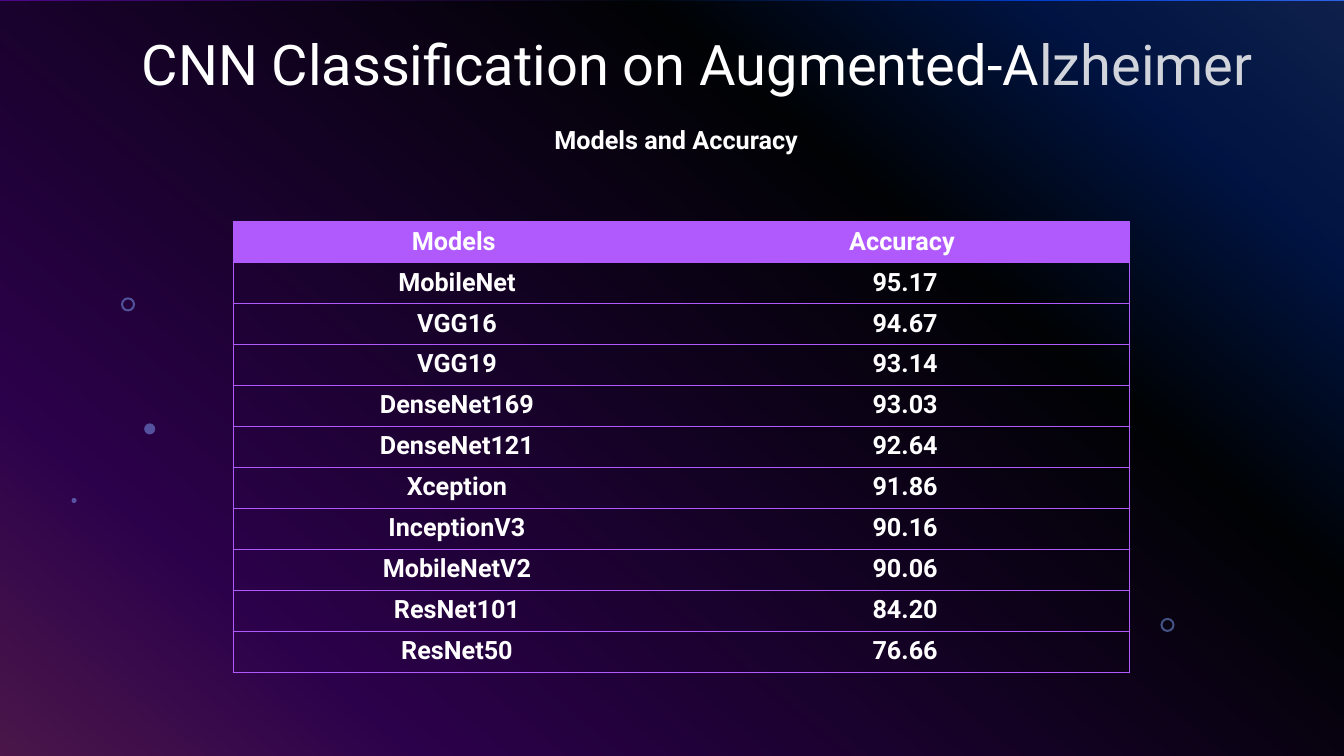
"""Build the slide that ranks CNN models by accuracy on Augmented-Alzheimer."""
from lxml.etree import SubElement
from pptx import Presentation
from pptx.dml.color import RGBColor
from pptx.enum.shapes import MSO_SHAPE
from pptx.enum.text import MSO_ANCHOR, MSO_AUTO_SIZE, PP_ALIGN
from pptx.oxml import parse_xml
from pptx.oxml.ns import nsdecls, qn
from pptx.util import Inches, Pt

COLORS = {
    "text": "FFFFFF",
    "muted": "D1D5DB",
    "accent": "B059FD",
    "veil": "000000",
    "bubble": "83A7FD",
}
GRADIENT = {0: "316CFC", 14: "0343DF", 31: "02090E", 81: "9405FC", 100: "FC4EFB"}
GRADIENT_ANGLE = 130
GRID = Inches(0.1)
SLIDE_COLUMNS, SLIDE_ROWS = 133.3, 75
HEADING_FORMAT = {"name": "Roboto", "size": Pt(40), "bold": False}
STRONG_FORMAT = {"name": "Roboto", "size": Pt(18), "bold": True}
RESULTS = [
    ("Models ", "Accuracy "),
    ("MobileNet", "95.17"),
    ("VGG16", "94.67"),
    ("VGG19", "93.14"),
    ("DenseNet169", "93.03"),
    ("DenseNet121", "92.64"),
    ("Xception", "91.86"),
    ("InceptionV3", "90.16"),
    ("MobileNetV2", "90.06"),
    ("ResNet101", "84.20"),
    ("ResNet50", "76.66"),
]
BUBBLES = [
    (MSO_SHAPE.DONUT, 115.1, 61.3, 1.4),
    (MSO_SHAPE.DONUT, 12, 29.5, 1.4),
    (MSO_SHAPE.OVAL, 14.3, 42, 1.1),
    (MSO_SHAPE.OVAL, 7.1, 49.4, 0.5),
]


def add_tinted(kind, column, row, columns, rows, color, opacity):
    tinted = slide.shapes.add_shape(
        kind, *(int(cells * GRID) for cells in (column, row, columns, rows)))
    tinted.shadow.inherit = False
    tinted.line.fill.background()
    tinted.fill.solid()
    tinted.fill.fore_color.rgb = RGBColor.from_string(COLORS[color])
    tint = tinted.fill._xPr.find(".//" + qn("a:srgbClr"))
    SubElement(tint, qn("a:alpha"), val=str(opacity * 1000))
    return tinted


def add_words(paragraph, words, color, formats):
    run = paragraph.add_run()
    run.text = words
    for attribute, value in formats.items():
        setattr(run.font, attribute, value)
    run.font.color.rgb = RGBColor.from_string(COLORS[color])


deck = Presentation()
deck.slide_width = int(SLIDE_COLUMNS * GRID)
deck.slide_height = SLIDE_ROWS * GRID
slide = deck.slides.add_slide(deck.slide_layouts[6])

stops = "".join(
    f'<a:gs pos="{share * 1000}"><a:srgbClr val="{color}"/></a:gs>'
    for share, color in GRADIENT.items())
slide.element.cSld.insert(0, parse_xml(
    f'<p:bg {nsdecls("p", "a")}><p:bgPr><a:gradFill><a:gsLst>{stops}</a:gsLst>'
    f'<a:lin ang="{GRADIENT_ANGLE * 60000}" scaled="0"/></a:gradFill>'
    '<a:effectLst/></p:bgPr></p:bg>'))

add_tinted(MSO_SHAPE.RECTANGLE, 0, 0.1, SLIDE_COLUMNS, SLIDE_ROWS - 0.1, "veil", 70)
for kind, column, row, diameter in BUBBLES:
    bubble = add_tinted(kind, column, row, diameter, diameter, "bubble", 49)
    if kind == MSO_SHAPE.DONUT:
        bubble.adjustments[0] = 0.15

heading = slide.shapes.add_textbox(
    0, int(3.2 * GRID), deck.slide_width, int(8.5 * GRID)).text_frame
heading.word_wrap = True
heading.vertical_anchor = MSO_ANCHOR.TOP
title = heading.paragraphs[0]
title.alignment = PP_ALIGN.CENTER
title.line_spacing = 0.9
title._p.get_or_add_pPr().set("marL", str(5 * GRID))
add_words(title, "CNN Classification on Augmented-A", "text", HEADING_FORMAT)
add_words(title, "lzheimer", "muted", HEADING_FORMAT)

caption = slide.shapes.add_textbox(
    54 * GRID, int(11.8 * GRID), int(27.6 * GRID), 4 * GRID).text_frame
caption.word_wrap = False
caption.auto_size = MSO_AUTO_SIZE.SHAPE_TO_FIT_TEXT
add_words(caption.paragraphs[0], "Models and Accuracy", "text", STRONG_FORMAT)

ranking = slide.shapes.add_table(
    len(RESULTS), 2, int(23.1 * GRID), 22 * GRID,
    int(88.9 * GRID), int(44.7 * GRID)).table
ranking.horz_banding = False
for row, entries in enumerate(RESULTS):
    for column, entry in enumerate(entries):
        cell = ranking.cell(row, column)
        borders = {"lnL": column == 0, "lnR": column == 1, "lnT": True, "lnB": True}
        for side, visible in borders.items():
            border = SubElement(cell._tc.get_or_add_tcPr(), qn(f"a:{side}"), w=str(Pt(0.5)))
            if visible:
                paint = SubElement(border, qn("a:solidFill"))
                SubElement(paint, qn("a:srgbClr"), val=COLORS["accent"])
            else:
                SubElement(border, qn("a:noFill"))
        if row == 0:
            cell.fill.solid()
            cell.fill.fore_color.rgb = RGBColor.from_string(COLORS["accent"])
        else:
            cell.fill.background()
        label = cell.text_frame.paragraphs[0]
        label.alignment = PP_ALIGN.CENTER
        add_words(label, entry, "text", STRONG_FORMAT)

deck.save("out.pptx")
